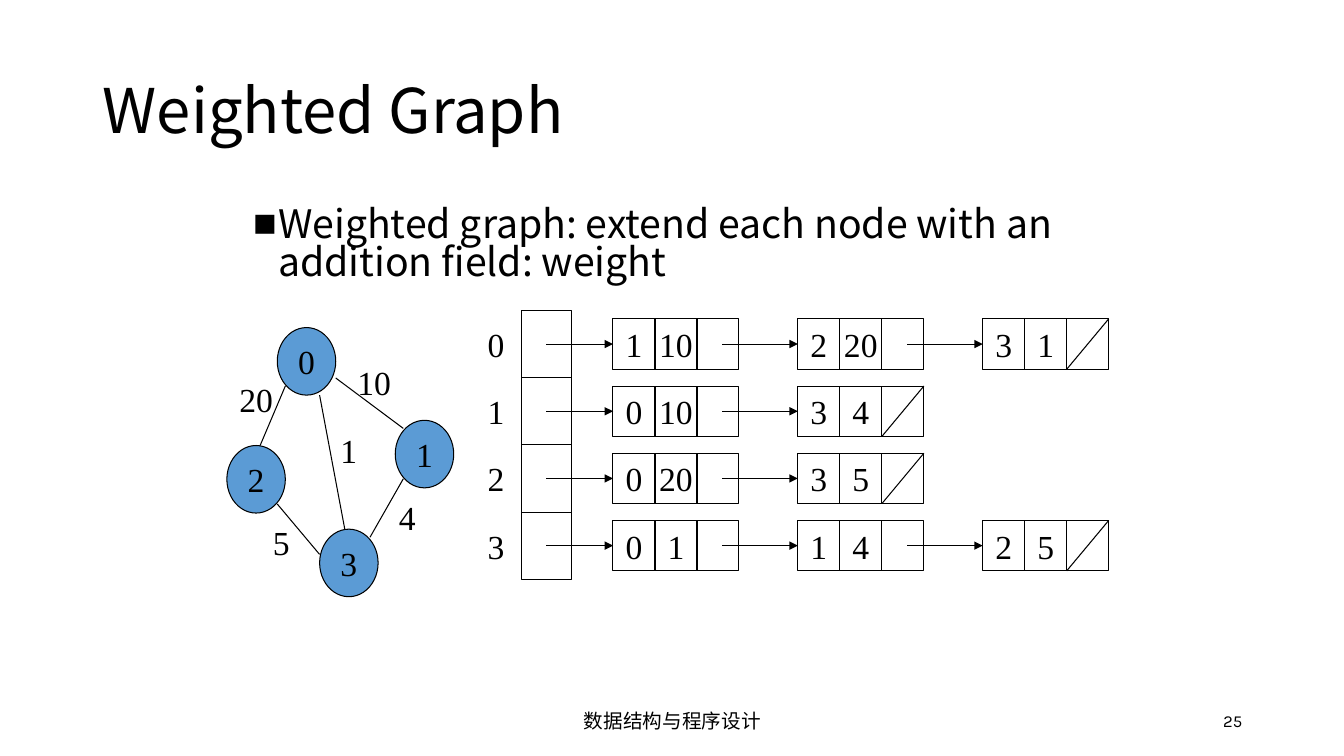
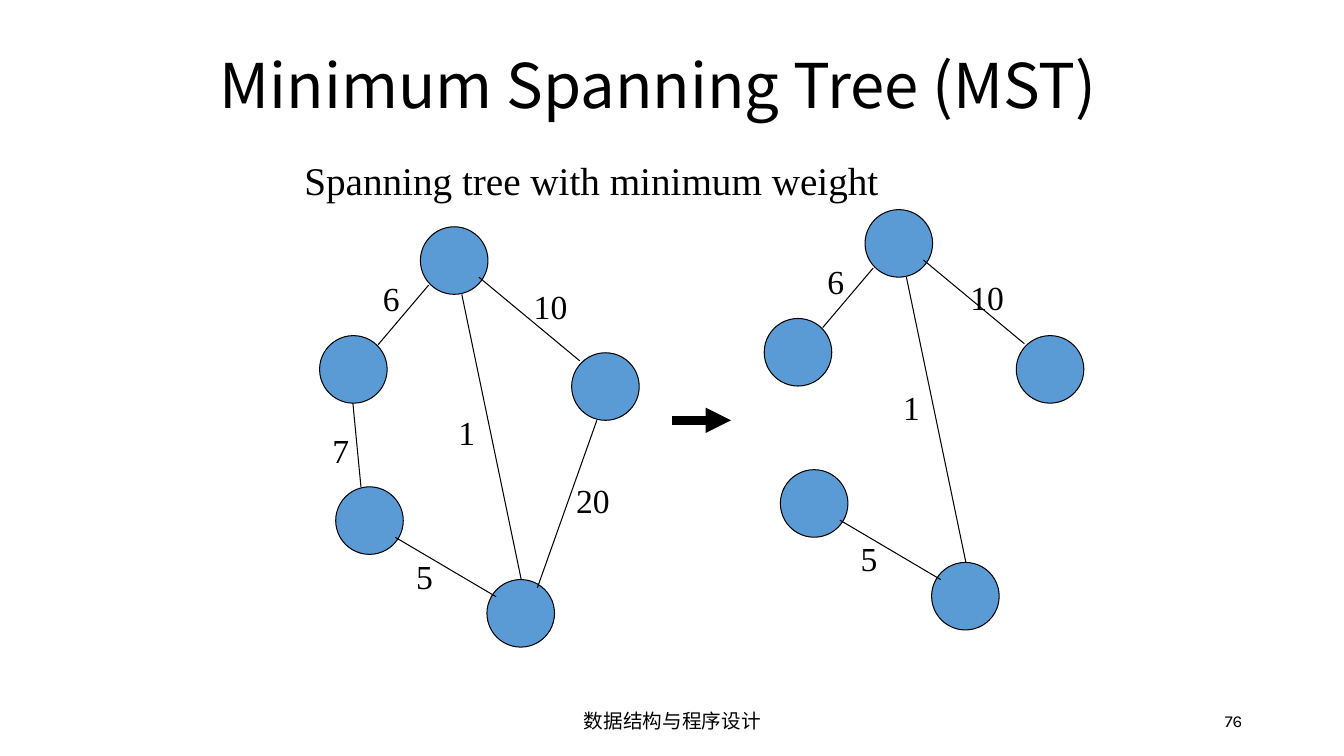
"""Build two slides on weighted graphs and minimum spanning trees."""
from dataclasses import dataclass

from lxml.etree import SubElement as Sub
from pptx import Presentation
from pptx.dml.color import RGBColor as Rgb
from pptx.enum.shapes import MSO_CONNECTOR as Link, MSO_SHAPE as Form
from pptx.enum.text import MSO_ANCHOR as Anchor, MSO_AUTO_SIZE as Fit, PP_ALIGN as Align
from pptx.oxml.ns import qn
from pptx.util import Inches, Pt


@dataclass(frozen=True)
class Theme:
    ink: Rgb = Rgb(0, 0, 0)
    node: Rgb = Rgb(0x5B, 0x9B, 0xD5)
    head: str = "Noto Sans CJK SC"
    foot: str = "Karla"
    math: str = "Times New Roman"
    title: int = 44
    body: int = 28
    label: int = 24
    note: int = 14
    page: int = 12
    thin: float = 0.75
    thick: float = 6


LOOK = Theme()
COURSE = "数据结构与程序设计"

INTRO = {
    "title": "Weighted Graph", "box": (0.92, 0.4, 11.5, 1.45), "page": "25",
    "body": "Weighted graph: extend each node with an addition field: weight",
    "nodes": [("0", 2.75, 3.25), ("1", 3.92, 4.17), ("3", 3.17, 5.25), ("2", 2.25, 4.42)],
    "edges": [
        ("20", (2.83, 3.83), (2.58, 4.42), (2.33, 3.75)),
        ("5", (2.75, 5), (3.17, 5.5), (2.58, 5.17)),
        ("10", (3.33, 3.75), (4, 4.25), (3.5, 3.58)),
        ("4", (4, 4.75), (3.67, 5.33), (3.83, 4.92)),
        ("1", (3.17, 3.92), (3.42, 5.25), (3.25, 4.25)),
    ],
    "lists": [
        [("1", "10"), ("2", "20"), ("3", "1")],
        [("0", "10"), ("3", "4")],
        [("0", "20"), ("3", "5")],
        [("0", "1"), ("1", "4"), ("2", "5")],
    ],
}
SPAN = {
    "title": "Minimum Spanning Tree (MST)", "box": (2.08, 0.25, 9.25, 1.25), "page": "76",
    "body": "Spanning tree with minimum weight",
    "nodes": [("", 4.17, 2.25), ("", 3.17, 3.33), ("", 3.33, 4.83),
              ("", 4.83, 5.75), ("", 5.67, 3.5)],
    "edges": [
        ("6", (4.25, 2.83), (3.75, 3.42), (3.67, 2.75)),
        ("7", (3.5, 4), (3.58, 4.83), (3.17, 4.25)),
        ("5", (3.92, 5.33), (4.92, 5.92), (4, 5.5)),
        ("1", (4.58, 2.92), (5.17, 5.75), (4.42, 4.08)),
        ("10", (4.75, 2.75), (5.75, 3.58), (5.25, 2.83)),
        ("20", (5.92, 4.17), (5.33, 5.83), (5.67, 4.75)),
    ],
    "tree": ("6", "5", "1", "10"),
    "shift": (4.41, -0.17),
    "nudge": {"10": (-0.08, 0.08), "1": (0, -0.08)},
}


def add(a, b):
    return a[0] + b[0], a[1] + b[1]


def write(shape, text, size, font, align=Align.LEFT, anchor=Anchor.MIDDLE, wrap=True):
    frame = shape.text_frame
    frame.auto_size = Fit.NONE
    frame.word_wrap = wrap
    frame.vertical_anchor = anchor
    para = frame.paragraphs[0]
    para.alignment = align
    run = para.add_run()
    run.text = text
    run.font.size = Pt(size)
    run.font.name = font
    run.font.color.rgb = LOOK.ink
    Sub(run.font._element, qn("a:ea")).set("typeface", LOOK.head)
    return para


def place(shape, box):
    shape.left, shape.top, shape.width, shape.height = map(Inches, box)
    return shape


def text(shapes, box, words, size, font, **style):
    return write(shapes.add_textbox(*map(Inches, box)), words, size, font, **style)


def label(shapes, box, words):
    text(shapes, box, words, LOOK.label, LOOK.math, align=Align.CENTER, wrap=False)


def cell(shapes, form, box, words="", fill=None):
    shape = shapes.add_shape(form, *map(Inches, box))
    shape.shadow.inherit = False
    shape.line.color.rgb = LOOK.ink
    shape.line.width = Pt(LOOK.thin)
    if fill is None:
        shape.fill.background()
    else:
        shape.fill.solid()
        shape.fill.fore_color.rgb = fill
    if words:
        write(shape, words, LOOK.label, LOOK.math, align=Align.CENTER, wrap=False)


def line(shapes, start, end, width=LOOK.thin, arrow=False):
    link = shapes.add_connector(Link.STRAIGHT, *map(Inches, (*start, *end)))
    link.line.color.rgb = LOOK.ink
    link.line.width = Pt(width)
    if arrow:
        Sub(link.line._get_or_add_ln(), qn("a:tailEnd")).set("type", "triangle")
    Sub(link._element.spPr, qn("a:effectLst"))


def graph(slide, nodes, edges, size):
    shapes = slide.shapes.add_group_shape().shapes
    for name, x, y in nodes:
        cell(shapes, Form.OVAL, (x, y, *size), name, LOOK.node)
    for _, start, end, _ in edges:
        line(shapes, start, end)
    for cost, _, _, spot in edges:
        label(shapes, (*spot, 0.42, 0.42), cost)


def lists(shapes, rows):
    pitch, step, wide, tall = 2 / 3, 11 / 6, 5 / 12, 0.5
    for i, row in enumerate(rows):
        top = 3.08 + i * pitch
        mid = top + pitch / 2
        cell(shapes, Form.RECTANGLE, (5.17, top, 0.5, pitch))
        label(shapes, (4.67, top, 0.5, pitch), str(i))
        tail = 5.42
        for j, pair in enumerate(row):
            x, y = 6.08 + j * step, mid - tall / 2
            line(shapes, (tail, mid), (x, mid), arrow=True)
            for k, words in enumerate((*pair, "")):
                cell(shapes, Form.RECTANGLE, (x + k * wide, y, wide, tall), words)
            tail = x + 2.6 * wide
        line(shapes, (x + 3 * wide, y), (x + 2 * wide, y + tall))


def start(deck, layout, data):
    slide = deck.slides.add_slide(deck.slide_layouts[layout])
    title = place(slide.shapes.title, data["box"])
    write(title, data["title"], LOOK.title, LOOK.head).line_spacing = 0.9
    text(slide.shapes, (4.42, 6.95, 4.5, 0.4), COURSE, LOOK.note, LOOK.foot, align=Align.CENTER)
    text(slide.shapes, (9.42, 6.95, 3, 0.4), data["page"], LOOK.page, LOOK.foot, align=Align.RIGHT)
    return slide


def intro(deck):
    slide = start(deck, 1, INTRO)
    body = place(slide.placeholders[1], (2.41, 2.02, 8.5, 0.92))
    para = write(body, INTRO["body"], LOOK.body, LOOK.head, anchor=Anchor.TOP)
    para.line_spacing = 0.8
    para.space_before = Pt(10)
    props = para._p.get_or_add_pPr()
    props.set("marL", str(Inches(0.25)))
    props.set("indent", str(-Inches(0.25)))
    Sub(props, qn("a:buChar")).set("char", "■")
    graph(slide, INTRO["nodes"], INTRO["edges"], (0.58, 0.67))
    lists(slide.shapes, INTRO["lists"])


def span(deck):
    slide = start(deck, 5, SPAN)
    size, move, nudge = (0.67, 0.67), SPAN["shift"], SPAN["nudge"]
    nodes = [(name, *add(spot, move)) for name, *spot in SPAN["nodes"]]
    edges = [
        (cost, add(head, move), add(tail, move), add(add(spot, move), nudge.get(cost, (0, 0))))
        for cost, head, tail, spot in SPAN["edges"] if cost in SPAN["tree"]
    ]
    graph(slide, SPAN["nodes"], SPAN["edges"], size)
    line(slide.shapes, (6.67, 4.17), (7.25, 4.17), LOOK.thick, arrow=True)
    graph(slide, nodes, edges, size)
    text(slide.shapes, (2.92, 1.5, 8.58, 0.57), SPAN["body"], LOOK.body, LOOK.math,
         anchor=Anchor.TOP)


def main():
    deck = Presentation()
    deck.slide_width, deck.slide_height = Inches(13.33), Inches(7.5)
    intro(deck)
    span(deck)
    deck.save("out.pptx")


if __name__ == "__main__":
    main()
